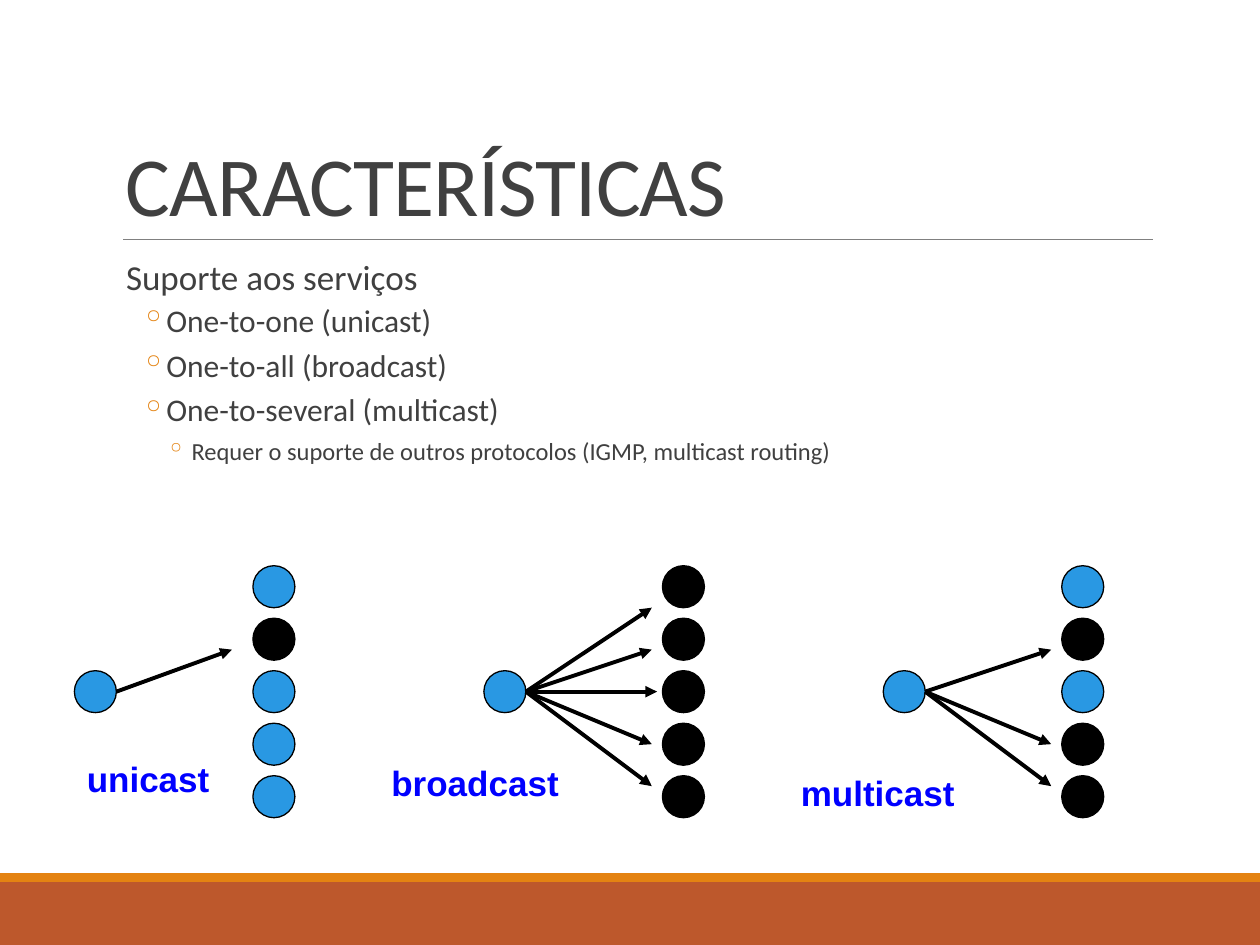
from pptx import Presentation
from pptx.dml.color import RGBColor
from pptx.enum.shapes import MSO_CONNECTOR, MSO_SHAPE
from pptx.enum.text import MSO_ANCHOR
from pptx.oxml.ns import qn
from pptx.util import Pt
from lxml.etree import SubElement

RUST = RGBColor(0xBD, 0x58, 0x2C)
ORANGE = RGBColor(0xE4, 0x83, 0x12)
GRAY = RGBColor(0x80, 0x80, 0x80)
DARK = RGBColor(0x40, 0x40, 0x40)
BLUE = RGBColor(0x29, 0x98, 0xE3)
LABEL_BLUE = RGBColor(0x00, 0x00, 0xFF)
BLACK = RGBColor(0x00, 0x00, 0x00)

deck = Presentation()
deck.slide_width, deck.slide_height = Pt(720), Pt(540)
page = deck.slides.add_slide(deck.slide_layouts[6])


def add_line(x1, y1, x2, y2, color, width):
    line = page.shapes.add_connector(MSO_CONNECTOR.STRAIGHT, Pt(x1), Pt(y1), Pt(x2), Pt(y2))
    line.line.color.rgb = color
    line.line.width = Pt(width)
    SubElement(line._element.spPr, qn("a:effectLst"))
    return line


def add_text(left, top, width, height):
    box = page.shapes.add_textbox(Pt(left), Pt(top), Pt(width), Pt(height))
    box.text_frame.word_wrap = True
    return box


for top, height, color in [(504, 36, RUST), (499, 5, ORANGE)]:
    band = page.shapes.add_shape(MSO_SHAPE.RECTANGLE, 0, Pt(top), Pt(720), Pt(height))
    band.shadow.inherit = False
    band.fill.solid()
    band.fill.fore_color.rgb = color
    band.line.fill.background()

add_line(70.5, 136.8, 658.8, 136.8, GRAY, 0.5)

title = add_text(64.8, 22.6, 594, 114.2)
title.text_frame.vertical_anchor = MSO_ANCHOR.BOTTOM
para = title.text_frame.paragraphs[0]
span = para.add_run()
span.text = "CARACTERÍSTICAS"
span._r.get_or_add_rPr().set("spc", "-50")
para.line_spacing = 0.85
para.font.name, para.font.size = "Calibri", Pt(48)
para.font.color.rgb = DARK

body = add_text(64.8, 145.4, 594, 316.8)
body.text_frame.margin_left = body.text_frame.margin_right = 0
items = [
    ("Suporte aos serviços", 0, 20, 7.2),
    ("One-to-one (unicast)", 1, 18, 30.24),
    ("One-to-all (broadcast)", 1, 18, 30.24),
    ("One-to-several (multicast)", 1, 18, 30.24),
    ("Requer o suporte de outros protocolos (IGMP, multicast routing)", 2, 14, 44.64),
]
for index, (text, level, size, margin) in enumerate(items):
    para = body.text_frame.paragraphs[0] if index == 0 else body.text_frame.add_paragraph()
    para.text = text
    para.level = level
    para.line_spacing = 0.9
    para.space_before = Pt(2 if level else 0)
    para.space_after = Pt(4 if level else 2)
    properties = para._p.get_or_add_pPr()
    properties.set("marL", str(Pt(margin)))
    properties.set("indent", str(Pt(-14.4 if level else 0)))
    if level:
        bullet_color = SubElement(properties, qn("a:buClr"))
        SubElement(bullet_color, qn("a:srgbClr")).set("val", str(ORANGE))
        SubElement(properties, qn("a:buChar")).set("char", "◦")
    para.font.name, para.font.size = "Calibri", Pt(size)
    para.font.color.rgb = DARK

DIAMETER = 24
SOURCE_ROW = 2
FIRST_TOP, ROW_STEP = 323.25, 30
SOURCE_Y = FIRST_TOP + SOURCE_ROW * ROW_STEP + DIAMETER / 2
ARROW_END_Y = [347.25, 371.25, SOURCE_Y, 425.25, 449.25]

diagrams = [
    ("unicast", 42.5, {1}, 66, (42.5, 429.1, 96)),
    ("broadcast", 276.5, {0, 1, 2, 3, 4}, 72, (216.5, 431.5, 120)),
    ("multicast", 504.7, {1, 3, 4}, 72, (450.5, 437.3, 120)),
]
for name, left, receivers, reach, (label_left, label_top, label_width) in diagrams:
    nodes = [(left, SOURCE_ROW, BLUE)]
    nodes += [(left + 102, row, BLACK if row in receivers else BLUE) for row in range(5)]
    for node_left, row, color in nodes:
        node = page.shapes.add_shape(
            MSO_SHAPE.OVAL, Pt(node_left), Pt(FIRST_TOP + row * ROW_STEP), Pt(DIAMETER), Pt(DIAMETER)
        )
        node.shadow.inherit = False
        node.fill.solid()
        node.fill.fore_color.rgb = color
        node.line.color.rgb = BLACK
        node.line.width = Pt(0.75)

    start = left + DIAMETER
    for row in sorted(receivers):
        end = start + reach + (3 if row == SOURCE_ROW else 0)
        arrow = add_line(start, SOURCE_Y, end, ARROW_END_Y[row], BLACK, 2.25)
        SubElement(arrow.line._get_or_add_ln(), qn("a:tailEnd")).set("type", "triangle")

    label = add_text(label_left, label_top, label_width, 31)
    para = label.text_frame.paragraphs[0]
    para.text = name
    para.font.name, para.font.size, para.font.bold = "Arial", Pt(20), True
    para.font.color.rgb = LABEL_BLUE

deck.save("out.pptx")
